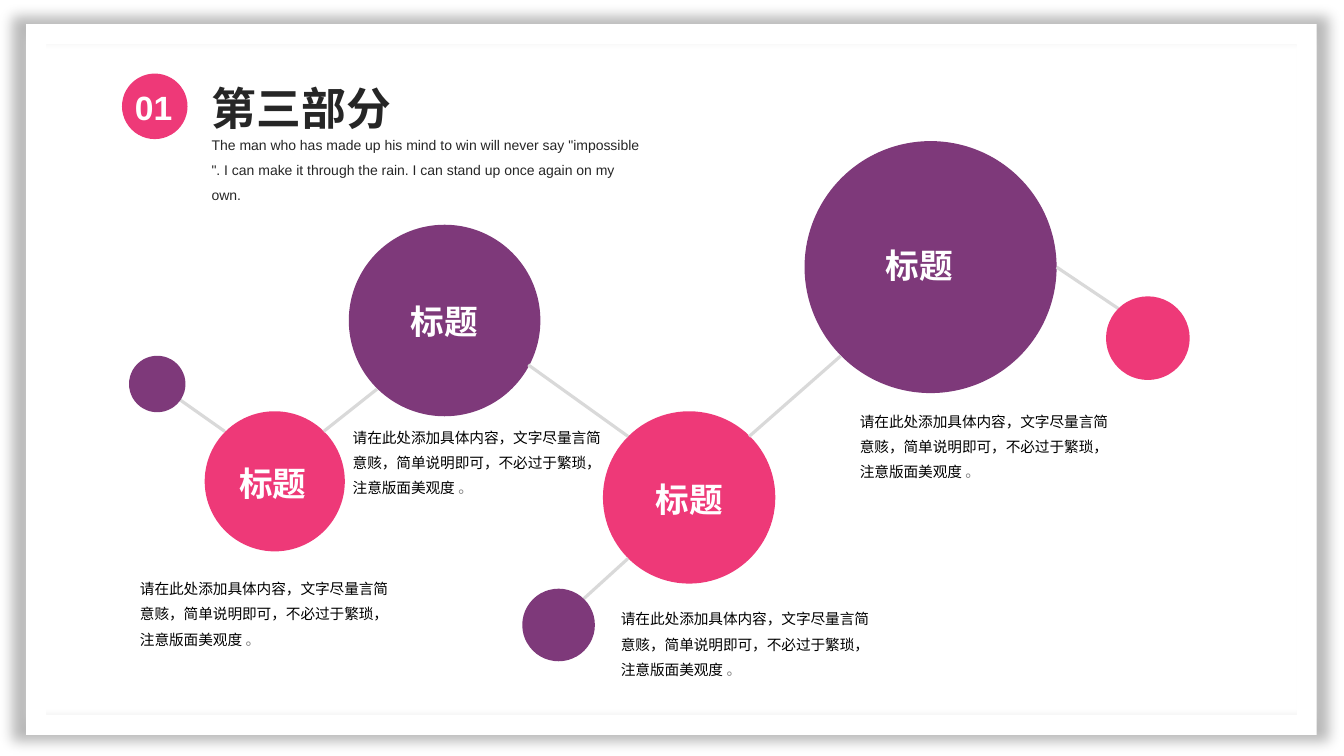
from lxml import etree
from pptx import Presentation
from pptx.dml.color import RGBColor
from pptx.enum.shapes import MSO_CONNECTOR, MSO_SHAPE
from pptx.enum.text import MSO_ANCHOR, MSO_AUTO_SIZE, PP_ALIGN
from pptx.oxml.ns import qn
from pptx.util import Inches, Pt

ELLIPSE, RECTANGLE, FRAME = MSO_SHAPE.OVAL, MSO_SHAPE.RECTANGLE, MSO_SHAPE.FRAME
STRAIGHT = MSO_CONNECTOR.STRAIGHT
TOP, MIDDLE = MSO_ANCHOR.TOP, MSO_ANCHOR.MIDDLE
LEFT, CENTER = PP_ALIGN.LEFT, PP_ALIGN.CENTER
NO_FIT = MSO_AUTO_SIZE.NONE

PINK, PURPLE, GREY, WHITE, DARK = "EE3978", "7E397A", "D9D9D9", "FFFFFF", "262626"
CJK_FONT = "Noto Sans CJK SC"
QUOTE = ('The man who has made up his mind to win will never say "impossible ". '
         "I can make it through the rain. I can stand up once again on my own.")
BODY = "请在此处添加具体内容，文字尽量言简意赅，简单说明即可，不必过于繁琐，注意版面美观度 "

# Circle box, colour, label box
TITLED_CIRCLES = [
    ((2.03, 4.08, 1.39, 1.39), PINK, (2.19, 4.57, 1.03, 0.44)),
    ((3.46, 2.23, 1.9, 1.9), PURPLE, (3.83, 2.94, 1.15, 0.49)),
    ((5.98, 4.08, 1.71, 1.71), PINK, (6.26, 4.71, 1.15, 0.49)),
    ((7.98, 1.4, 2.5, 2.5), PURPLE, (8.44, 2.34, 1.36, 0.57)),
]
SMALL_CIRCLES = [
    ((1.28, 3.53, 0.56, 0.56), PURPLE),
    ((5.18, 5.84, 0.72, 0.72), PURPLE),
    ((10.97, 2.94, 0.83, 0.83), PINK),
]
LINKS = [
    (3.21, 4.28, 3.74, 3.86), (5.24, 3.62, 6.23, 4.33), (7.43, 4.33, 8.34, 3.53),
    (1.79, 3.97, 2.23, 4.28), (5.79, 5.94, 6.23, 5.54), (10.48, 2.65, 11.09, 3.06),
]
BODY_CORNERS = [(1.29, 5.63), (6.06, 5.93), (8.43, 3.97), (3.4, 4.13)]


def color(value):
    return RGBColor.from_string(value)


def inches(box):
    return [Inches(value) for value in box]


def add_figure(page, kind, box, fill):
    figure = page.shapes.add_shape(kind, *inches(box))
    figure.shadow.inherit = False
    figure.fill.solid()
    figure.fill.fore_color.rgb = color(fill)
    figure.line.fill.background()
    return figure


def write(shape, spans, size, bold=False, font="Arial", align=LEFT, anchor=TOP, spacing=1.0):
    """Fill a shape with one paragraph of (text, colour) spans."""
    frame = shape.text_frame
    for name, value in {"word_wrap": True, "auto_size": NO_FIT,
                        "vertical_anchor": anchor}.items():
        setattr(frame, name, value)
    para = frame.paragraphs[0]
    para.alignment, para.line_spacing, para.space_before = align, spacing, Pt(0)
    for text, tint in spans:
        span = para.add_run()
        span.text = text
        for name, value in {"size": Pt(size), "bold": bold, "name": font}.items():
            setattr(span.font, name, value)
        span.font.color.rgb = color(tint)
        latin = span.font._element.find(qn("a:latin"))
        east_asian = etree.Element(qn("a:ea"), typeface=CJK_FONT)
        latin.addnext(east_asian)


def add_text(page, box, spans, size, **formats):
    write(page.shapes.add_textbox(*inches(box)), spans, size, **formats)


def draw_frame(page, box):
    border = add_figure(page, FRAME, box, WHITE)
    border.adjustments[0] = 0.028
    # Soft shadow slightly larger than the border
    effects = border._element.spPr.find(qn("a:effectLst"))
    shadow = etree.SubElement(effects, qn("a:outerShdw"), blurRad=str(Pt(9)), dist="0",
                              sx="102000", sy="102000", algn="ctr", rotWithShape="0")
    tint = etree.SubElement(shadow, qn("a:srgbClr"), val="000000")
    etree.SubElement(tint, qn("a:alpha"), val="27000")


def draw_header(page, left, top):
    # Title and quotation
    title = page.shapes.title
    box = inches((left + 0.79, top, 3.19, 0.7))
    title.left, title.top, title.width, title.height = box
    write(title, [("第三部分", DARK)], 32, bold=True, spacing=1.2)
    add_text(page, (left + 0.79, top + 0.58, 4.45, 0.58), [(QUOTE, DARK)], 10,
             spacing=Pt(18))
    # Number badge
    add_figure(page, ELLIPSE, (left, top + 0.09, 0.65, 0.65), PINK)
    add_text(page, (left + 0.03, top + 0.17, 0.62, 0.5), [("01", WHITE)], 24, bold=True)


def draw_titled_circle(page, box, fill, label_box):
    add_figure(page, ELLIPSE, box, fill)
    label = add_figure(page, RECTANGLE, label_box, fill)
    write(label, [("标题", WHITE)], 24, bold=True, font=CJK_FONT,
          align=CENTER, anchor=MIDDLE)


def draw_link(page, ends):
    link = page.shapes.add_connector(STRAIGHT, *inches(ends))
    link.line.color.rgb = color(GREY)
    link.line.width = Pt(2.25)
    etree.SubElement(link._element.spPr, qn("a:effectLst"))


def draw_body(page, left, top):
    add_text(page, (left, top, 2.76, 0.62), [(BODY, "000000"), ("。", "808080")], 10.5,
             spacing=Pt(18))


def main():
    deck = Presentation()
    deck.slide_width, deck.slide_height = Inches(13.33), Inches(7.5)
    page = deck.slides.add_slide(deck.slide_layouts[5])
    draw_frame(page, (0.26, 0.24, 12.8, 7.05))
    draw_header(page, 1.21, 0.64)
    for box, fill, label_box in TITLED_CIRCLES:
        draw_titled_circle(page, box, fill, label_box)
    for ends in LINKS:
        draw_link(page, ends)
    for box, fill in SMALL_CIRCLES:
        add_figure(page, ELLIPSE, box, fill)
    for left, top in BODY_CORNERS:
        draw_body(page, left, top)
    deck.save("out.pptx")


if __name__ == "__main__":
    main()
